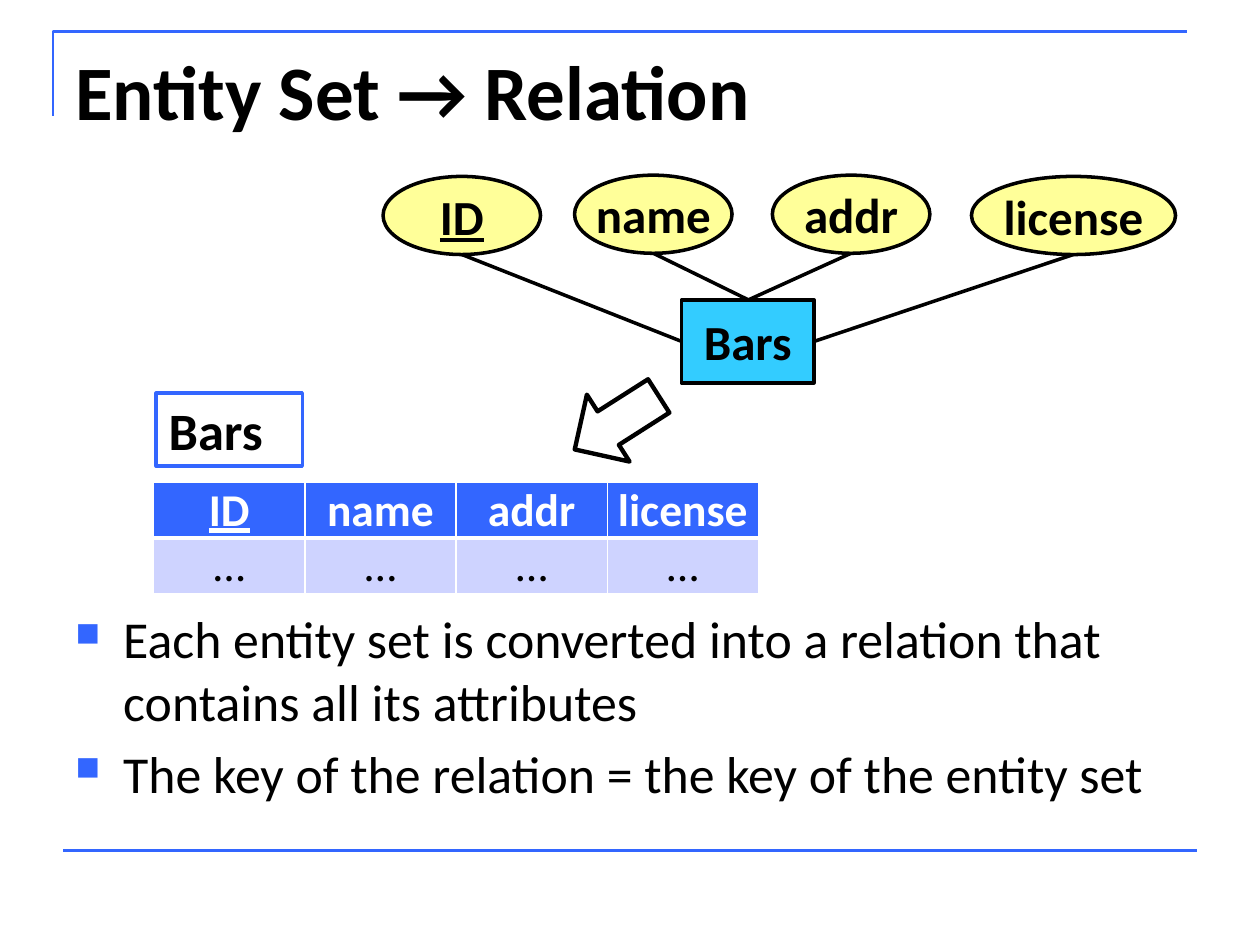
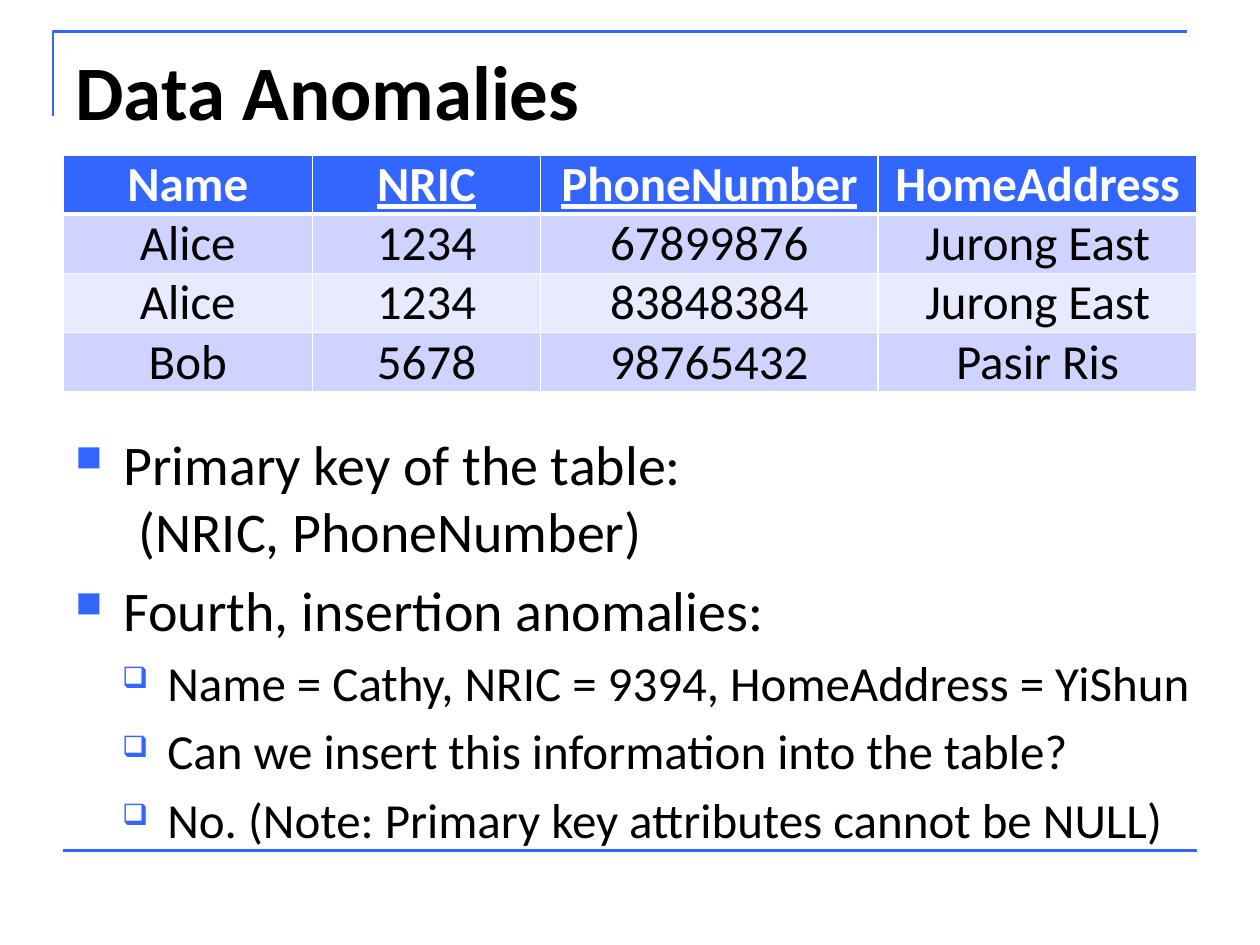
from lxml.etree import SubElement
from pptx import Presentation
from pptx.dml.color import RGBColor
from pptx.enum.shapes import MSO_CONNECTOR, MSO_SHAPE
from pptx.enum.text import MSO_ANCHOR, PP_ALIGN
from pptx.oxml import parse_xml
from pptx.oxml.ns import nsdecls, qn
from pptx.util import Inches, Pt

COLORS = {
    "accent": "3366FF",
    "black": "000000",
    "white": "FFFFFF",
    "entity": "33CCFF",
    "attribute": "FFFF99",
    "row_dark": "CED3FF",
    "row_light": "E8EAFF",
}
RGB = {name: RGBColor.from_string(value) for name, value in COLORS.items()}
FONT = "Calibri"
# Per level: bullet sign, bullet size, left indent, hanging indent
BULLETS = [("■", 65, 0.38, 0.38), ("❑", 60, 0.73, 0.36)]

SLIDES = [
    {
        "title": "Entity Set → Relation",
        "body_box": (0.5, 4.77, 9, 1.93),
        "bullets": [
            (0, 29.6, "Each entity set is converted into a relation that contains all its attributes"),
            (0, 29.6, "The key of the relation = the key of the entity set"),
        ],
        "table_at": (1.22, 3.83),
        "columns": [1.2] * 4,
        "row_height": 0.44,
        "table_size": 26,
        "cell_margin": 0.08,
        "keys": ["ID"],
        "rows": [["ID", "name", "addr", "license"], ["…"] * 4],
    },
    {
        "title": "Data Anomalies",
        "body_box": (0.5, 3.36, 9.22, 3.35),
        "bullets": [
            (0, 32, "Primary key of the table:\v\t(NRIC, PhoneNumber)"),
            (0, 32, "Fourth, insertion anomalies:"),
            (1, 28, "Name = Cathy, NRIC = 9394, HomeAddress = YiShun"),
            (1, 28, "Can we insert this information into the table?"),
            (1, 28, "No. (Note: Primary key attributes cannot be NULL)"),
        ],
        "table_at": (0.5, 1.23),
        "columns": [1.98, 1.81, 2.68, 2.53],
        "row_height": 0.47,
        "table_size": 28,
        "cell_margin": 0.1,
        "keys": ["NRIC", "PhoneNumber"],
        "rows": [
            ["Name", "NRIC", "PhoneNumber", "HomeAddress"],
            ["Alice", "1234", "67899876", "Jurong East"],
            ["Alice", "1234", "83848384", "Jurong East"],
            ["Bob", "5678", "98765432", "Pasir Ris"],
        ],
    },
]


def write(para, text, size, color="black", **values):
    para.text = text
    for span in para.runs:
        span.font.color.rgb = RGB[color]
        for name, value in {"name": FONT, "size": Pt(size), **values}.items():
            setattr(span.font, name, value)


def draw_line(page, start, end, color, width):
    points = [Inches(value) for value in (*start, *end)]
    line = page.shapes.add_connector(MSO_CONNECTOR.STRAIGHT, *points)
    line.line.color.rgb = RGB[color]
    line.line.width = Pt(width)
    SubElement(line._element.spPr, qn("a:effectLst"))


deck = Presentation()
deck.slide_width, deck.slide_height = Inches(10), Inches(7.5)
pages = []

for content in SLIDES:
    page = deck.slides.add_slide(deck.slide_layouts[6])
    pages.append(page)

    # Corner rule and bottom rule
    builder = page.shapes.build_freeform(Inches(0.42), Inches(0.92))
    corner = [(Inches(0.42), Inches(0.25)), (Inches(9.42), Inches(0.25))]
    builder.add_line_segments(corner, close=False)
    rule = builder.convert_to_shape()
    rule.shadow.inherit = False
    rule.fill.background()
    rule.line.color.rgb = RGB["accent"]
    rule.line.width = Pt(1.5)
    draw_line(page, (0.5, 6.75), (9.5, 6.75), "accent", 1.5)

    # Title
    box = page.shapes.add_textbox(Inches(0.5), Inches(0.3), Inches(9), Inches(1.25))
    box.text_frame.word_wrap = True
    write(box.text_frame.paragraphs[0], content["title"], 44, bold=True)

    # Bulleted body
    box = page.shapes.add_textbox(*[Inches(value) for value in content["body_box"]])
    frame = box.text_frame
    frame.word_wrap = True
    for index, (level, size, text) in enumerate(content["bullets"]):
        para = frame.add_paragraph() if index else frame.paragraphs[0]
        sign, scale, indent, hanging = BULLETS[level]
        para.level = level
        props = para._p.get_or_add_pPr()
        props.set("marL", str(Inches(indent)))
        props.set("indent", str(-Inches(hanging)))
        color = SubElement(props, qn("a:buClr"))
        SubElement(color, qn("a:srgbClr"), val=COLORS["accent"])
        SubElement(props, qn("a:buSzPct"), val=str(scale * 1000))
        SubElement(props, qn("a:buChar"), char=sign)
        if index:
            para.space_before = Pt(round(size * 0.2, 1))
        write(para, text, size)

    # Table
    rows, columns = content["rows"], content["columns"]
    left, top = content["table_at"]
    height = content["row_height"] * len(rows)
    table = page.shapes.add_table(
        len(rows), len(columns), Inches(left), Inches(top), Inches(sum(columns)), Inches(height)
    ).table
    for column, width in zip(table.columns, columns):
        column.width = Inches(width)
    for row, texts in enumerate(rows):
        header = row == 0
        fill = "accent" if header else ("row_light", "row_dark")[row % 2]
        for column, text in enumerate(texts):
            cell = table.cell(row, column)
            cell.margin_left = cell.margin_right = Inches(content["cell_margin"])
            cell.margin_top = cell.margin_bottom = 0
            cell.fill.solid()
            cell.fill.fore_color.rgb = RGB[fill]
            para = cell.text_frame.paragraphs[0]
            para.alignment = PP_ALIGN.CENTER
            write(para, text, content["table_size"], "white" if header else "black",
                  bold=header, underline=header and text in content["keys"])
            # The border under the header is thick
            borders = {"L": 1, "R": 1, "T": 3 if row == 1 else 1, "B": 3 if header else 1}
            for order, (side, width) in enumerate(borders.items()):
                cell._tc.get_or_add_tcPr().insert(order, parse_xml(
                    f'<a:ln{side} {nsdecls("a")} w="{Pt(width)}"><a:solidFill>'
                    f'<a:srgbClr val="{COLORS["white"]}"/></a:solidFill></a:ln{side}>'
                ))

# Entity diagram: each attribute is joined to a point on the entity
page = pages[0]
ATTRIBUTES = [
    ("ID", 3.04, 1.4, 1.25, (5.41, 2.71)),
    ("name", 4.56, 1.39, 1.25, (5.94, 2.38)),
    ("addr", 6.13, 1.39, 1.25, (5.94, 2.38)),
    ("license", 7.71, 1.4, 1.62, (6.46, 2.71)),
]
nodes = [("Bars", MSO_SHAPE.RECTANGLE, "entity", (5.41, 2.38, 1.05, 0.66))]
for name, left, top, width, joint in ATTRIBUTES:
    nodes.append((name, MSO_SHAPE.OVAL, "attribute", (left, top, width, 0.62)))
    draw_line(page, (left + width / 2, top + 0.62), joint, "black", 2)
for name, kind, fill, place in nodes:
    node = page.shapes.add_shape(kind, *[Inches(value) for value in place])
    node.shadow.inherit = False
    node.fill.solid()
    node.fill.fore_color.rgb = RGB[fill]
    node.line.color.rgb = RGB["black"]
    node.line.width = Pt(2)
    node.text_frame.word_wrap = False
    node.text_frame.vertical_anchor = MSO_ANCHOR.MIDDLE
    para = node.text_frame.paragraphs[0]
    para.alignment = PP_ALIGN.CENTER
    write(para, name, 28, bold=True, underline=name == "ID")

# Relation name above the table
label = page.shapes.add_textbox(Inches(1.24), Inches(3.12), Inches(1.16), Inches(0.58))
label.fill.solid()
label.fill.fore_color.rgb = RGB["white"]
label.line.color.rgb = RGB["accent"]
label.line.width = Pt(2)
label.text_frame.word_wrap = True
label.text_frame.margin_top = label.text_frame.margin_bottom = Inches(0.04)
write(label.text_frame.paragraphs[0], "Bars", 30, bold=True)

# Arrow from the entity to the table
arrow = page.shapes.add_shape(
    MSO_SHAPE.DOWN_ARROW, Inches(4.58), Inches(2.96), Inches(0.63), Inches(0.79)
)
arrow.rotation = 57.5
arrow.shadow.inherit = False
arrow.fill.background()
arrow.line.color.rgb = RGB["black"]
arrow.line.width = Pt(2.5)

deck.save("out.pptx")
